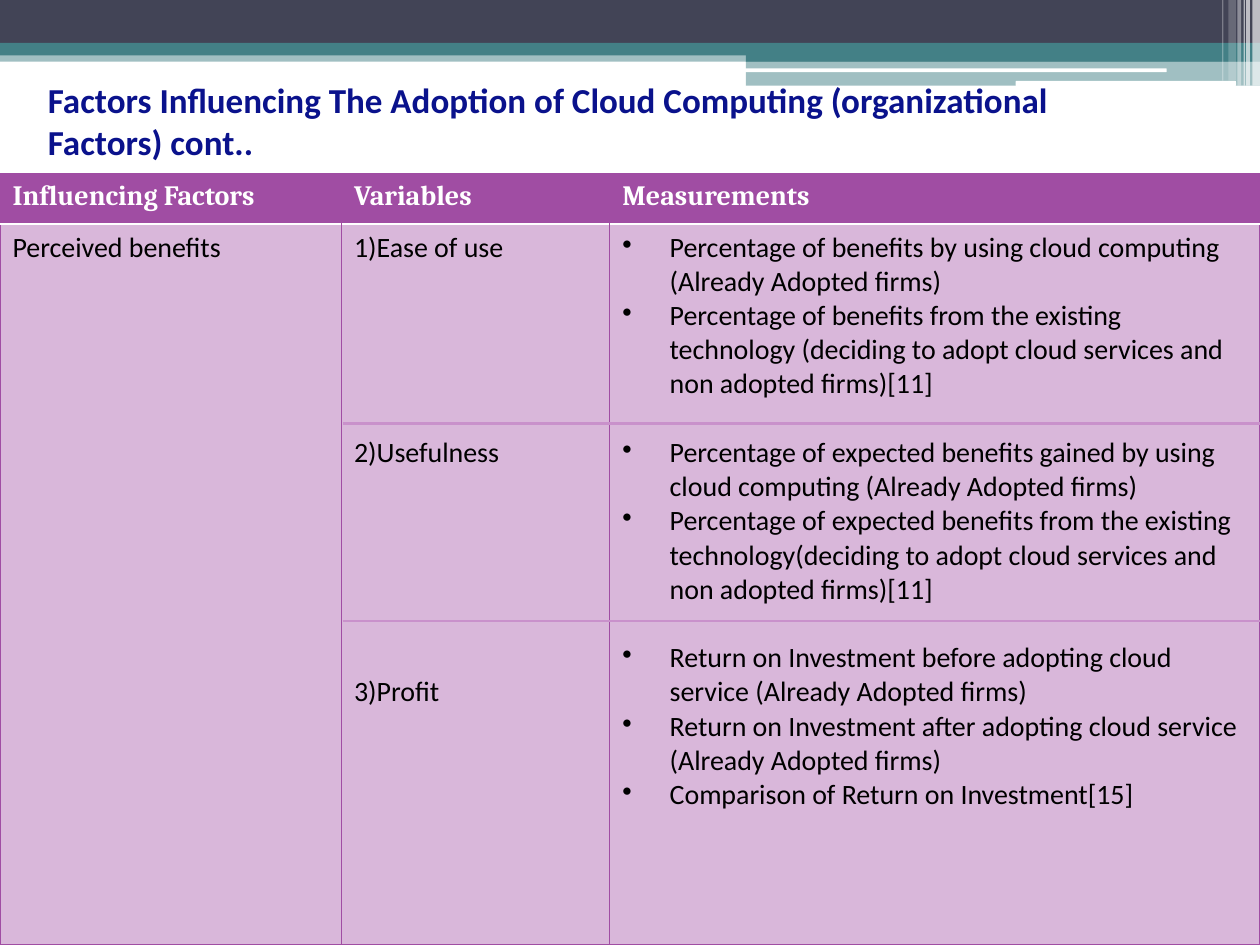
from lxml.etree import SubElement
from pptx import Presentation
from pptx.dml.color import RGBColor
from pptx.enum.shapes import MSO_CONNECTOR, MSO_SHAPE
from pptx.enum.text import MSO_ANCHOR, MSO_AUTO_SIZE, PP_ALIGN
from pptx.oxml.ns import qn
from pptx.util import Pt

NAVY = RGBColor(0x0A, 0x12, 0x8C)
SLATE = RGBColor(0x42, 0x44, 0x56)
TEAL = RGBColor(0x43, 0x80, 0x86)
PURPLE = RGBColor(0xA0, 0x4D, 0xA3)
LILAC = RGBColor(0xC9, 0x91, 0xCB)
WHITE = RGBColor(0xFF, 0xFF, 0xFF)
BLACK = RGBColor(0, 0, 0)
LINE = 19.53  # height of one 16 pt Calibri line
NO_STYLE = "{2D5ABB26-0587-4C30-8999-92F81FD0307C}"


def paint(fill, color, opacity=100):
    """Fill with a colour, see-through when opacity is below 100."""
    fill.solid()
    fill.fore_color.rgb = color
    if opacity < 100:
        for node in fill._xPr.iter(qn("a:srgbClr")):
            SubElement(node, qn("a:alpha"), val=str(opacity * 1000))


def add_border(cell, side, color, width):
    """Add one cell border; call in the order L, R, T, B, before the fill."""
    props = cell._tc.get_or_add_tcPr()
    line = SubElement(props, qn(f"a:ln{side}"), w=str(Pt(width)))
    solid = SubElement(line, qn("a:solidFill"))
    SubElement(solid, qn("a:srgbClr"), val=str(color))


deck = Presentation()
deck.slide_width, deck.slide_height = Pt(720), Pt(540)
page = deck.slides.add_slide(deck.slide_layouts[5])

# Header bands and the stripes at the right: left, top, width, height, colour, opacity
bands = [
    (0, 28.8, 720, 6.48, TEAL, 50),
    (0, 0, 720, 24.48, SLATE, 100),
    (0, 24.48, 720, 7.2, TEAL, 100),
    (426.24, 28.08, 293.76, 7.2, TEAL, 100),
    (426.24, 34.9, 293.76, 14.06, TEAL, 50),
    (425.52, 39.1, 241.2, 2.16, WHITE, 100),
    (580.32, 46.3, 126, 2.88, WHITE, 100),
]
stripes = [
    (715.68, 4.32, 48.96, 65),
    (712.08, 2.16, 48.96, 65),
    (710.64, 0.72, 48.96, 60),
    (707.04, 2.16, 48.96, 40),
    (702, 4.32, 46.08, 20),
    (698.4, 0.72, 46.08, 30),
]
bands += [(x, 0, width, height, WHITE, opacity) for x, width, height, opacity in stripes]
for left, top, width, height, color, opacity in bands:
    rounded = color == WHITE and opacity == 100
    kind = MSO_SHAPE.ROUNDED_RECTANGLE if rounded else MSO_SHAPE.RECTANGLE
    band = page.shapes.add_shape(kind, Pt(left), Pt(top), Pt(width), Pt(height))
    band.shadow.inherit = False
    band.line.fill.background()
    paint(band.fill, color, opacity)

# Title, in front of the bands
title = page.shapes.title
title.element.getparent().append(title.element)
title.left, title.top, title.width, title.height = Pt(20.16), Pt(43.2), Pt(648), Pt(51.12)
frame = title.text_frame
frame.text = "Factors Influencing The Adoption of Cloud Computing (organizational Factors) cont.."
frame.word_wrap = True
frame.auto_size = MSO_AUTO_SIZE.NONE
frame.vertical_anchor = MSO_ANCHOR.MIDDLE
para = frame.paragraphs[0]
para.alignment = PP_ALIGN.LEFT
para.font.name, para.font.size, para.font.bold = "Calibri", Pt(20), True
para.font.color.rgb = NAVY

# Table text: each body paragraph with the number of lines left free above it
headings = ["Influencing Factors", "Variables", "Measurements"]
body = [
    [("Perceived benefits", 0)],
    [("1)Ease of use", 0), ("2)Usefulness", 5), ("3)Profit", 6)],
    [
        ("Percentage of benefits by using cloud computing (Already Adopted firms)", 0),
        ("Percentage of benefits from the existing technology (deciding to adopt "
         "cloud services and non adopted firms)[11]", 0),
        ("Percentage of expected benefits gained by using cloud computing "
         "(Already Adopted firms)", 1),
        ("Percentage of expected benefits from the existing technology(deciding to adopt "
         "cloud services and non adopted firms)[11]", 0),
        ("Return on Investment before adopting cloud service (Already Adopted firms)", 1),
        ("Return on Investment after adopting cloud service (Already Adopted firms)", 0),
        ("Comparison of Return on Investment[15]", 0),
    ],
]

# Table
table = page.shapes.add_table(2, 3, 0, Pt(99.2), Pt(720), Pt(440.8)).table
table.first_row = table.horz_banding = False
table._tbl.tblPr.find(qn("a:tableStyleId")).text = NO_STYLE
for column, width in zip(table.columns, (195.12, 153.36, 371.52)):
    column.width = Pt(width)
for row, height in zip(table.rows, (28.8, 412)):
    row.height = Pt(height)

# Heading row
for index, heading in enumerate(headings):
    cell = table.cell(0, index)
    cell.text = heading
    font = cell.text_frame.paragraphs[0].font
    font.name, font.size, font.bold = "Cambria", Pt(16), True
    font.color.rgb = WHITE
    if index == 0:
        add_border(cell, "L", PURPLE, 0.75)
    if index == 2:
        add_border(cell, "R", PURPLE, 0.75)
    add_border(cell, "T", PURPLE, 0.75)
    add_border(cell, "B", WHITE, 1.5)
    paint(cell.fill, PURPLE)

# Body row
for index, items in enumerate(body):
    cell = table.cell(1, index)
    cell.text = "\n".join(text for text, free_lines in items)
    for para, (text, free_lines) in zip(cell.text_frame.paragraphs, items):
        para.space_before = Pt(free_lines * LINE)
        para.font.name, para.font.size = "Calibri", Pt(16)
        para.font.color.rgb = BLACK
        if index == 2:
            props = para._p.get_or_add_pPr()
            props.set("marL", str(Pt(27)))
            props.set("indent", str(Pt(-27)))
            bullet = props.makeelement(qn("a:buChar"), {"char": "•"})
            props.find(qn("a:defRPr")).addprevious(bullet)
    for side in "LR":
        add_border(cell, side, PURPLE, 0.75)
    add_border(cell, "T", WHITE, 1.5)
    add_border(cell, "B", PURPLE, 0.75)
    paint(cell.fill, PURPLE, 40)

# Dividers between the variables
for y in (241.92, 354.96):
    divider = page.shapes.add_connector(MSO_CONNECTOR.STRAIGHT, Pt(195.84), Pt(y), Pt(720), Pt(y))
    divider.line.color.rgb = LILAC
    divider.line.width = Pt(1.5)
    SubElement(divider._element.spPr, qn("a:effectLst"))

deck.save("out.pptx")
